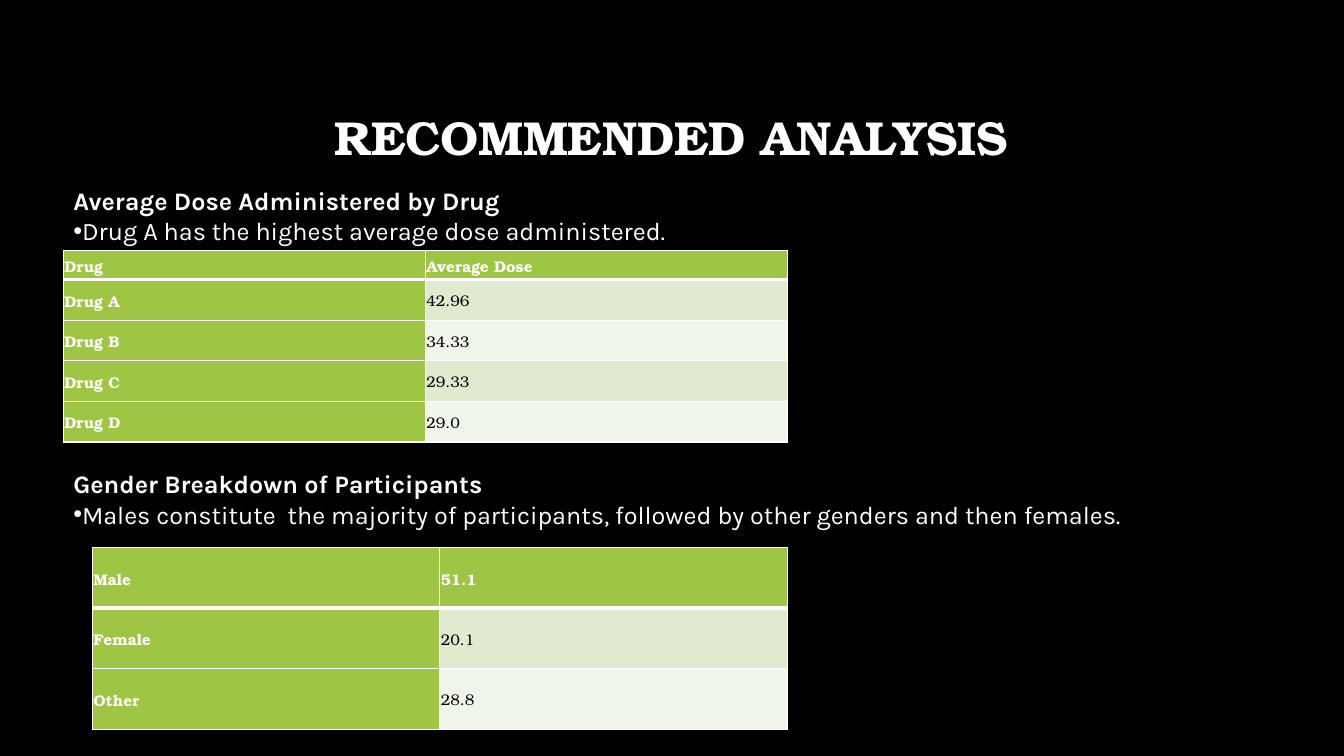
import pptx
import pptx.dml.color
import pptx.enum.text
import pptx.oxml
import pptx.oxml.ns
import pptx.util

Pt = pptx.util.Pt
RGBColor = pptx.dml.color.RGBColor
Anchor = pptx.enum.text.MSO_ANCHOR

BLACK = RGBColor(0x00, 0x00, 0x00)
WHITE = RGBColor(0xFF, 0xFF, 0xFF)
GREEN = RGBColor(0x9E, 0xC5, 0x44)
BANDS = (RGBColor(0xDF, 0xEA, 0xCF), RGBColor(0xF0, 0xF5, 0xE9))
SERIF = "TeX Gyre Bonum"
SANS = "Karla"

DOSES = [("Drug", "Average Dose"), ("Drug A", "42.96"), ("Drug B", "34.33"),
         ("Drug C", "29.33"), ("Drug D", "29.0")]
GENDERS = [("Male", "51.1"), ("Female", "20.1"), ("Other", "28.8")]


def format_runs(paragraph, font_name, size, color, bold):
    """Give every run of a paragraph one font, size, colour and weight."""
    for run in paragraph.runs:
        run.font.name = font_name
        run.font.size = Pt(size)
        run.font.color.rgb = color
        run.font.bold = bold


def add_text_frame(slide, box, anchor):
    """Add a wrapping text box and return its frame."""
    frame = slide.shapes.add_textbox(*map(Pt, box)).text_frame
    frame.word_wrap = True
    frame.vertical_anchor = anchor
    return frame


def add_title(slide, box, wording):
    """Place the centred slide title."""
    frame = add_text_frame(slide, box, Anchor.MIDDLE)
    frame.text = wording
    title = frame.paragraphs[0]
    title.alignment = pptx.enum.text.PP_ALIGN.CENTER
    title.line_spacing = 0.9
    format_runs(title, SERIF, 34, WHITE, True)


def add_finding(slide, box, anchor, heading, finding):
    """Place a bold heading with one bulleted finding below it."""
    frame = add_text_frame(slide, box, anchor)
    frame.text = heading
    format_runs(frame.paragraphs[0], SANS, 18, WHITE, True)
    bullet = frame.add_paragraph()
    bullet.text = finding
    format_runs(bullet, SANS, 18, WHITE, False)
    properties = bullet._p.get_or_add_pPr()
    namespace = pptx.oxml.ns.nsdecls("a")
    properties.append(pptx.oxml.parse_xml(f'<a:buFont {namespace} typeface="Arial"/>'))
    properties.append(pptx.oxml.parse_xml(f'<a:buChar {namespace} char="•"/>'))


def set_borders(cell, top, bottom):
    """Draw white borders, with the given top and bottom widths in points."""
    widths = {"lnL": 1, "lnR": 1, "lnT": top, "lnB": bottom}
    for position, (side, width) in enumerate(widths.items()):
        border = pptx.oxml.parse_xml(
            f'<a:{side} {pptx.oxml.ns.nsdecls("a")} w="{Pt(width)}"><a:solidFill>'
            f'<a:srgbClr val="{WHITE}"/></a:solidFill></a:{side}>')
        cell._tc.get_or_add_tcPr().insert(position, border)


def format_cell(cell, wording, row, column):
    """Fill one cell: green for the header row and first column, banded elsewhere."""
    is_header = row == 0 or column == 0
    cell.fill.solid()
    cell.fill.fore_color.rgb = GREEN if is_header else BANDS[(row - 1) % 2]
    cell.margin_left = cell.margin_right = Pt(0.75)
    cell.margin_top = cell.margin_bottom = Pt(0.75)
    cell.vertical_anchor = Anchor.MIDDLE
    cell.text_frame.text = wording
    entry = cell.text_frame.paragraphs[0]
    entry.line_spacing = 1.07
    entry.space_after = Pt(8)
    format_runs(entry, SERIF, 11, WHITE if is_header else BLACK, is_header)
    set_borders(cell, 3 if row == 1 else 1, 3 if row == 0 else 1)


def add_data_table(slide, box, records, header_height):
    """Place a table whose body rows share the height left by the header."""
    table = slide.shapes.add_table(len(records), len(records[0]), *map(Pt, box)).table
    table.horz_banding = False
    body_height = (box[3] - header_height) / (len(records) - 1)
    for row, record in enumerate(records):
        table.rows[row].height = Pt(body_height if row else header_height)
        for column, wording in enumerate(record):
            format_cell(table.cell(row, column), wording, row, column)


def add_analysis_slide(presentation):
    """Build the recommended analysis slide."""
    slide = presentation.slides.add_slide(presentation.slide_layouts[6])
    slide.background.fill.solid()
    slide.background.fill.fore_color.rgb = BLACK
    add_title(slide, (72, 48, 815, 104.5), "RECOMMENDED ANALYSIS")
    add_data_table(slide, (45.3, 179.2, 517, 136.5), DOSES, 20.5)
    add_finding(slide, (45.3, 106.8, 862.5, 94.5), Anchor.MIDDLE,
                "Average Dose Administered by Drug",
                "Drug A has the highest average dose administered.")
    add_finding(slide, (45.3, 331.3, 764, 94.5), Anchor.TOP,
                "Gender Breakdown of Participants",
                "Males constitute  the majority of participants, "
                "followed by other genders and then females.")
    add_data_table(slide, (66, 391, 496.3, 129.9), GENDERS, 43.3)


def main():
    """Create and save the presentation."""
    presentation = pptx.Presentation()
    presentation.slide_width = Pt(960)
    presentation.slide_height = Pt(540)
    add_analysis_slide(presentation)
    presentation.save("out.pptx")


if __name__ == "__main__":
    main()
